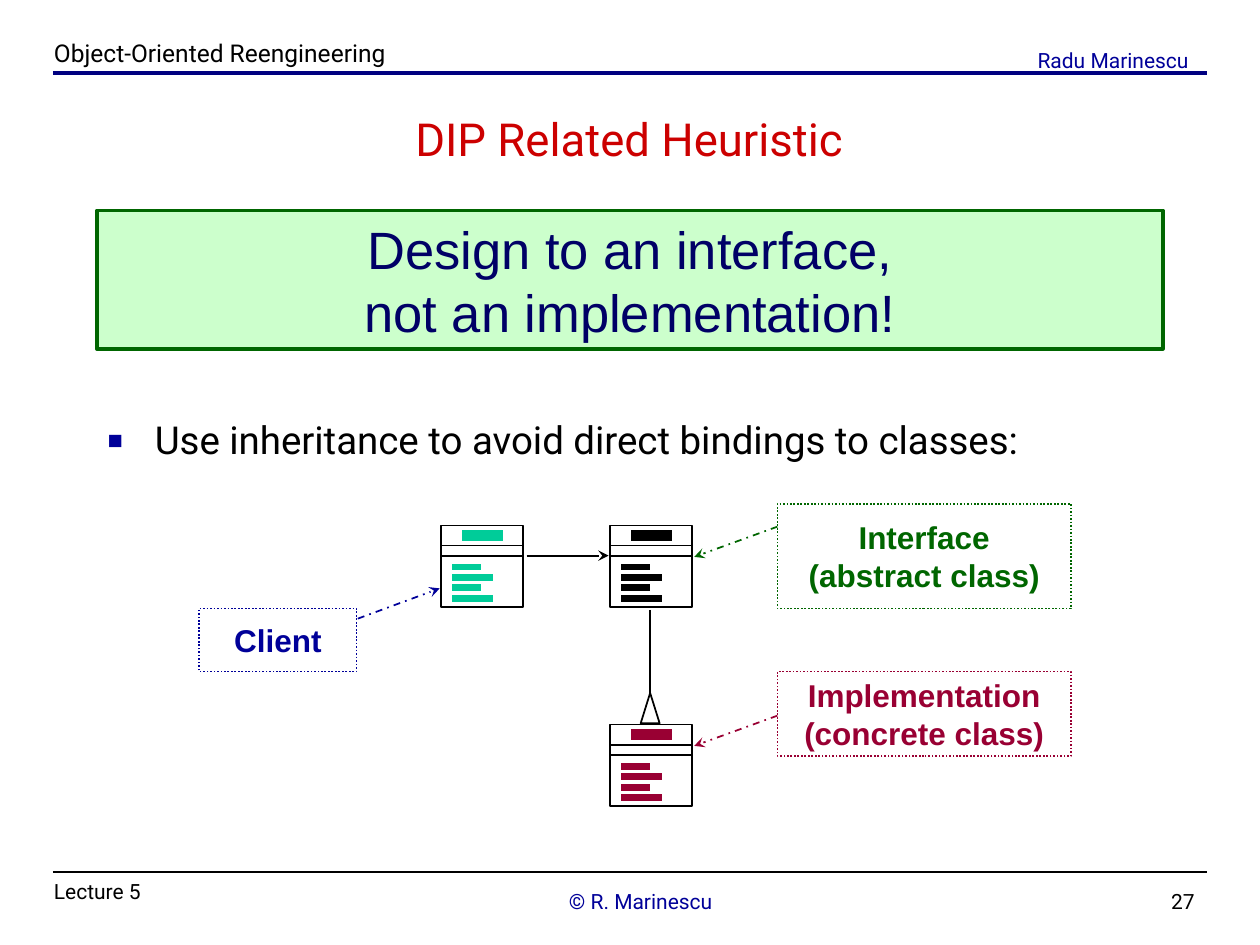
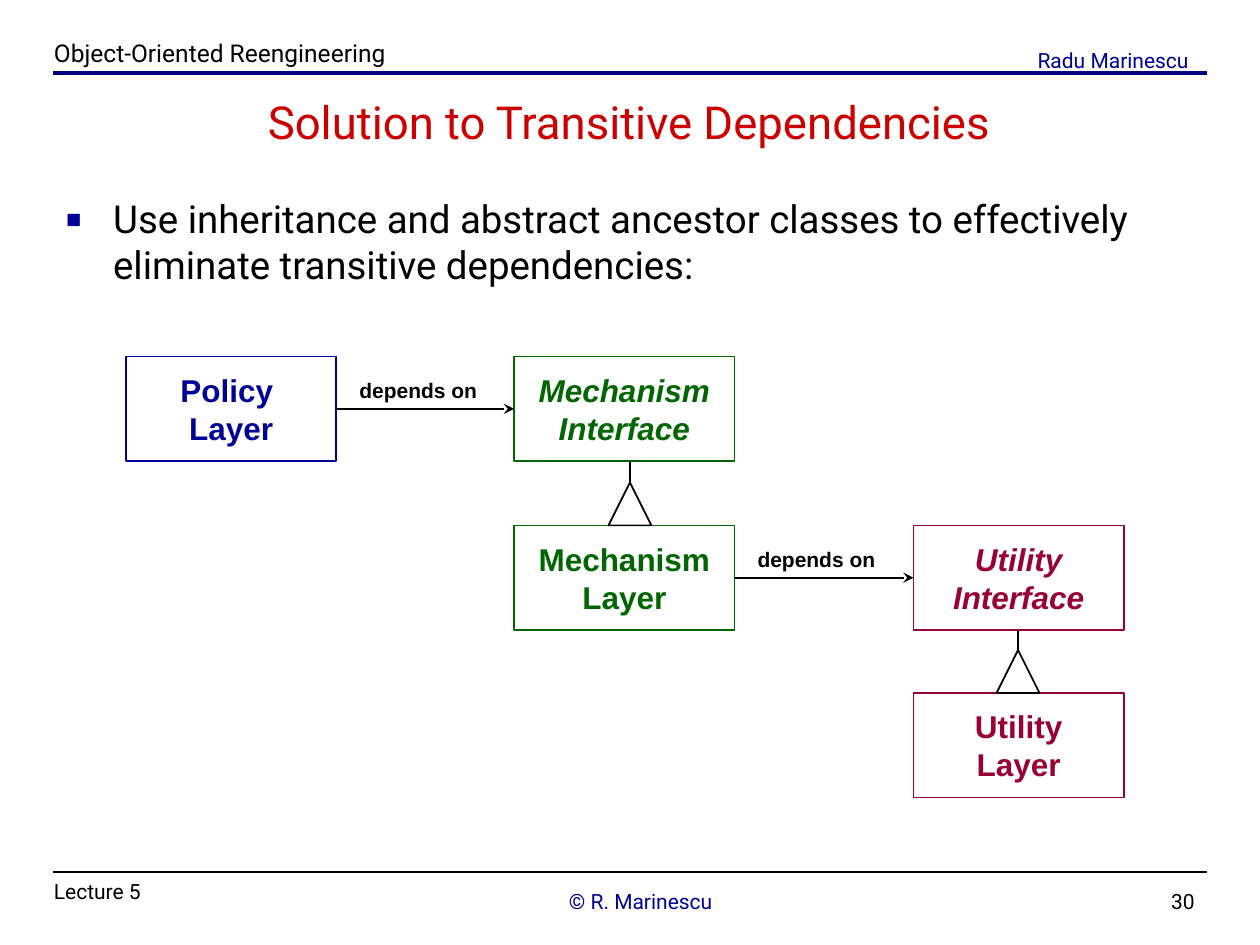
from dataclasses import dataclass

from lxml import etree
from pptx import Presentation
from pptx.dml.color import RGBColor
from pptx.enum.dml import MSO_LINE
from pptx.enum.shapes import MSO_CONNECTOR, MSO_SHAPE
from pptx.enum.text import MSO_ANCHOR, MSO_AUTO_SIZE, PP_ALIGN
from pptx.oxml.ns import qn
from pptx.util import Inches, Pt


@dataclass(frozen=True)
class Theme:
    # Colours
    black: str = "000000"
    white: str = "FFFFFF"
    blue: str = "000099"
    rule: str = "000080"
    navy: str = "000066"
    red: str = "CC0000"
    green: str = "006600"
    mint: str = "CCFFCC"
    teal: str = "00CC99"
    maroon: str = "990033"
    # Fonts
    main_font: str = "Roboto"
    diagram_font: str = "Arial"
    # Type sizes
    banner_size: int = 30
    title_size: int = 26
    body_size: int = 22
    box_size: int = 18
    header_size: int = 14
    small_size: int = 12


THEME = Theme()


def rgb(colour):
    return RGBColor.from_string(colour)


class Deck:
    """Holds the style and the current slide."""

    def __init__(self, theme):
        self.theme = theme
        self.presentation = Presentation()
        self.presentation.slide_width = Inches(10)
        self.presentation.slide_height = Inches(7.5)
        self.slide = None

    def new_slide(self, title, number, title_height):
        theme = self.theme
        layout = self.presentation.slide_layouts[5]
        self.slide = self.presentation.slides.add_slide(layout)

        # Header and footer
        self.line((0.42, 6.92), (9.58, 6.92), theme.black, 1.25)
        self.line((0.42, 0.58), (9.58, 0.58), theme.rule, 2)
        small = theme.small_size
        for words, place, align, size, colour in (
            (str(number), (7.5, 7, 2.08, 0.25), PP_ALIGN.RIGHT, small, theme.black),
            ("Object-Oriented Reengineering", (0.33, 0.25, 9.08, 0.25),
             PP_ALIGN.LEFT, theme.header_size, theme.black),
            ("© R. Marinescu", (2.92, 7, 4.33, 0.33), PP_ALIGN.CENTER, small, theme.blue),
            ("Lecture 5", (0.33, 6.92, 1.83, 0.25), PP_ALIGN.LEFT, small, theme.black),
            ("Radu Marinescu", (8, 0.33, 1.67, 0.17), PP_ALIGN.CENTER, small, theme.blue),
        ):
            self.text(words, place, size, colour, align)

        # Title
        shape = self.slide.shapes.title
        shape.left, shape.top = Inches(1.08), Inches(0.75)
        shape.width, shape.height = Inches(7.83), Inches(title_height)
        self.set_text(shape, title, theme.title_size, theme.red, theme.main_font,
                      anchor=MSO_ANCHOR.MIDDLE)

    def set_text(self, shape, words, size, colour, font, align=PP_ALIGN.CENTER,
                 anchor=MSO_ANCHOR.TOP, wrap=True, bold=False, italic=False):
        frame = shape.text_frame
        frame.text = words
        frame.auto_size = MSO_AUTO_SIZE.NONE
        frame.word_wrap = wrap
        frame.vertical_anchor = anchor
        for paragraph in frame.paragraphs:
            paragraph.alignment = align
            paragraph.font.name = font
            paragraph.font.size = Pt(size)
            paragraph.font.bold = bold
            paragraph.font.italic = italic
            paragraph.font.color.rgb = rgb(colour)

    def text(self, words, place, size, colour, align):
        shape = self.slide.shapes.add_textbox(*map(Inches, place))
        self.set_text(shape, words, size, colour, self.theme.main_font, align)
        return shape

    def bullet(self, words, place):
        theme = self.theme
        shape = self.text(words, place, theme.body_size, theme.black, PP_ALIGN.LEFT)
        paragraph = shape.text_frame.paragraphs[0]
        paragraph.space_before = Pt(5.5)
        properties = paragraph._p.get_or_add_pPr()
        properties.set("marL", str(Inches(0.38)))
        properties.set("indent", str(-Inches(0.38)))
        # The bullet settings must stand before the default run properties
        defaults = properties.find(qn("a:defRPr"))
        colour = etree.SubElement(properties, qn("a:buClr"))
        etree.SubElement(colour, qn("a:srgbClr"), val=theme.blue)
        etree.SubElement(properties, qn("a:buSzPct"), val="110000")
        etree.SubElement(properties, qn("a:buFont"), typeface=theme.main_font)
        etree.SubElement(properties, qn("a:buChar"), char="▪")
        properties.append(defaults)

    def shape(self, kind, place, line, width=1, fill=None, dash=None, shapes=None):
        shapes = shapes or self.slide.shapes
        shape = shapes.add_shape(kind, *map(Inches, place))
        shape.shadow.inherit = False
        if fill:
            shape.fill.solid()
            shape.fill.fore_color.rgb = rgb(fill)
        else:
            shape.fill.background()
        shape.line.color.rgb = rgb(line)
        shape.line.width = Pt(width)
        if dash:
            shape.line.dash_style = dash
        return shape

    def box(self, words, place, colour, dash=None, italic=False):
        shape = self.shape(MSO_SHAPE.RECTANGLE, place, colour, dash=dash)
        self.set_text(shape, words, self.theme.box_size, colour, self.theme.diagram_font,
                      anchor=MSO_ANCHOR.MIDDLE, wrap=False, bold=True, italic=italic)

    def banner(self, words, place):
        theme = self.theme
        shape = self.shape(MSO_SHAPE.RECTANGLE, place, theme.green, 2, theme.mint)
        self.set_text(shape, words, theme.banner_size, theme.navy, theme.diagram_font)

    def line(self, start, end, colour, width=1, dash=None, arrow=False, shapes=None):
        shapes = shapes or self.slide.shapes
        connector = shapes.add_connector(
            MSO_CONNECTOR.STRAIGHT, *map(Inches, (*start, *end)))
        connector.line.color.rgb = rgb(colour)
        connector.line.width = Pt(width)
        if dash:
            connector.line.dash_style = dash
        properties = connector._element.spPr
        if arrow:
            etree.SubElement(properties.find(qn("a:ln")), qn("a:tailEnd"), type="stealth")
        etree.SubElement(properties, qn("a:effectLst"))

    def inheritance(self, x, top, bottom, width, height):
        """A line that ends in a hollow triangle standing on the lower box."""
        theme = self.theme
        self.line((x, top), (x, bottom), theme.black)
        self.shape(MSO_SHAPE.ISOSCELES_TRIANGLE,
                   (x - width / 2, bottom - height, width, height),
                   theme.black, fill=theme.white)

    def class_icon(self, left, top, colour):
        """A small class symbol: name bar, two dividers and four member bars."""
        black, side = self.theme.black, 0.65
        shapes = self.slide.shapes.add_group_shape().shapes
        self.shape(MSO_SHAPE.RECTANGLE, (left, top, side, side), black, shapes=shapes)
        bars = [(0, side, 0.16, black, 1), (0, side, 0.24, black, 1),
                (0.17, 0.49, 0.08, colour, 6)]
        bars += [(0.09, (0.32, 0.41)[row % 2], 0.33 + row / 12, colour, 4)
                 for row in range(4)]
        for start, end, down, bar_colour, width in bars:
            self.line((left + start, top + down), (left + end, top + down),
                      bar_colour, width, shapes=shapes)

    def dependency(self, start, end, label_left):
        theme = self.theme
        self.line(start, end, theme.black, arrow=True)
        label = self.slide.shapes.add_textbox(
            *map(Inches, (label_left, start[1] - 0.3, 1.14, 0.3)))
        self.set_text(label, "depends on", theme.small_size, theme.black,
                      theme.diagram_font, anchor=MSO_ANCHOR.MIDDLE, wrap=False, bold=True)


deck = Deck(THEME)

# Slide: design heuristic
deck.new_slide("DIP Related Heuristic", 27, 0.69)
deck.bullet("Use inheritance to avoid direct bindings to classes:", (0.75, 3.25, 8.75, 3.17))
deck.banner("Design to an interface,\nnot an implementation!", (0.77, 1.67, 8.46, 1.1))

# Each callout is a dotted box with a dashed arrow to its class
for words, place, colour, start, end in (
    ("Client", (1.58, 4.83, 1.25, 0.5), THEME.blue, (2.84, 4.91), (3.49, 4.67)),
    ("Interface\v(abstract class)", (6.17, 4, 2.33, 0.83), THEME.green,
     (6.17, 4.18), (5.51, 4.42)),
    ("Implementation\v(concrete class)", (6.17, 5.33, 2.33, 0.67), THEME.maroon,
     (6.17, 5.68), (5.51, 5.92)),
):
    deck.box(words, place, colour, dash=MSO_LINE.ROUND_DOT)
    deck.line(start, end, colour, dash=MSO_LINE.DASH_DOT, arrow=True)

for left, top, colour in ((4.84, 5.75, THEME.maroon), (4.84, 4.17, THEME.black),
                          (3.5, 4.17, THEME.teal)):
    deck.class_icon(left, top, colour)
deck.inheritance(5.16, 4.84, 5.74, 0.15, 0.24)
deck.line((4.18, 4.41), (4.83, 4.41), THEME.black, arrow=True)

# Slide: layers that depend on interfaces
deck.new_slide("Solution to Transitive Dependencies", 30, 0.42)
deck.bullet("Use inheritance and abstract ancestor classes to effectively "
            "eliminate transitive dependencies:", (0.42, 1.5, 9.17, 0.92))

COLUMNS = ((1, 1.67), (4.08, 1.75), (7.25, 1.67))
ROWS = (2.83, 4.17, 5.5)
BOX_HEIGHT = 0.83
for words, column, row, colour, italic in (
    ("Policy \vLayer", 0, 0, THEME.blue, False),
    ("Mechanism\nInterface", 1, 0, THEME.green, True),
    ("Mechanism\nLayer", 1, 1, THEME.green, False),
    ("Utility\vInterface", 2, 1, THEME.maroon, True),
    ("Utility\vLayer", 2, 2, THEME.maroon, False),
):
    left, width = COLUMNS[column]
    deck.box(words, (left, ROWS[row], width, BOX_HEIGHT), colour, italic=italic)

# Each step goes right to an interface, then down to the layer behind it
for step, middle in enumerate((5, 8.08)):
    left, width = COLUMNS[step]
    next_left = COLUMNS[step + 1][0]
    y = ROWS[step] + BOX_HEIGHT / 2
    deck.dependency((left + width, y), (next_left, y), left + width + 0.08)
    deck.inheritance(middle, ROWS[step] + BOX_HEIGHT, ROWS[step + 1], 0.34, 0.34)

deck.presentation.save("out.pptx")
